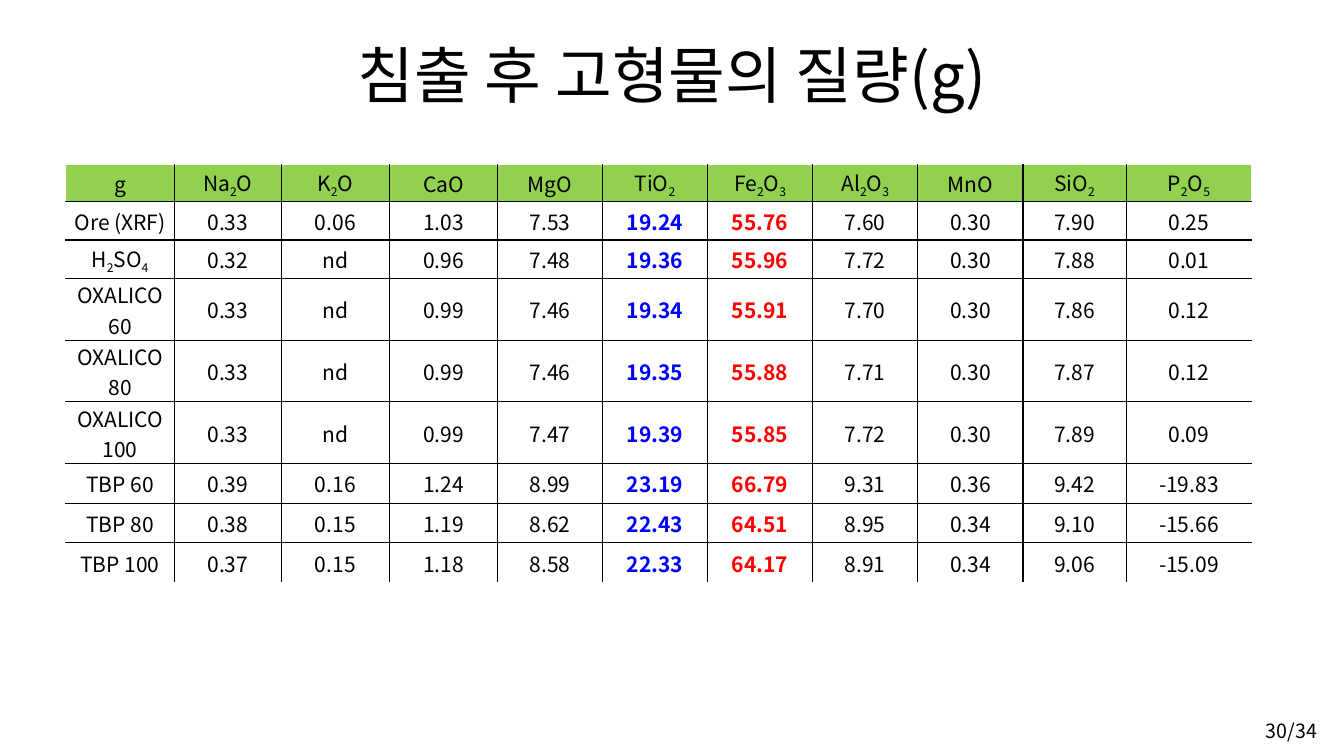
from lxml import etree
from pptx import Presentation
from pptx.dml.color import RGBColor
from pptx.enum import text
from pptx.oxml import ns
from pptx.util import Cm, Pt

# Content: "_" marks the next character as a subscript
TITLE = "침출 후 고형물의 질량(g)"
PAGE = "30/34"
ROWS = [
    ("g", "Na_2O", "K_2O", "CaO", "MgO", "TiO_2", "Fe_2O_3", "Al_2O_3", "MnO", "SiO_2", "P_2O_5"),
    ("Ore (XRF)", "0.33", "0.06", "1.03", "7.53", "19.24", "55.76", "7.60", "0.30", "7.90", "0.25"),
    ("H_2SO_4", "0.32", "nd", "0.96", "7.48", "19.36", "55.96", "7.72", "0.30", "7.88", "0.01"),
    ("OXALICO 60", "0.33", "nd", "0.99", "7.46", "19.34", "55.91", "7.70", "0.30", "7.86", "0.12"),
    ("OXALICO 80", "0.33", "nd", "0.99", "7.46", "19.35", "55.88", "7.71", "0.30", "7.87", "0.12"),
    ("OXALICO 100", "0.33", "nd", "0.99", "7.47", "19.39", "55.85", "7.72", "0.30", "7.89", "0.09"),
    ("TBP 60", "0.39", "0.16", "1.24", "8.99", "23.19", "66.79", "9.31", "0.36", "9.42", "-19.83"),
    ("TBP 80", "0.38", "0.15", "1.19", "8.62", "22.43", "64.51", "8.95", "0.34", "9.10", "-15.66"),
    ("TBP 100", "0.37", "0.15", "1.18", "8.58", "22.33", "64.17", "8.91", "0.34", "9.06", "-15.09"),
]
COL_WIDTHS = [2.73, 2.7, 2.72, 2.73, 2.64, 2.65, 2.65, 2.65, 2.65, 2.6, 3.16]
ROW_HEIGHTS = [0.93] + [0.97] * 5 + [1.0] * 3
COLORS = {"black": "000000", "white": "FFFFFF", "header": "92D050",
          "titanium": "0000FF", "iron": "FF0000"}
HIGHLIGHTS = {5: "titanium", 6: "iron"}
FONT = "Noto Sans CJK KR"


def style(p, size, color="black", bold=False):
    p.alignment = text.PP_ALIGN.CENTER
    f = p.font
    f.name, f.size, f.bold = FONT, Pt(size), bold
    f.color.rgb = RGBColor.from_string(COLORS[color])
    latin = p._p.pPr.find(".//" + ns.qn("a:latin"))
    latin.addnext(latin.makeelement(ns.qn("a:ea"), typeface=FONT))


def add_formula(p, label):
    first, *rest = label.split("_")
    p.add_run().text = first
    for part in rest:
        r = p.add_run()
        r.text = part[0]
        r._r.get_or_add_rPr().set("baseline", "-25000")
        if part[1:]:
            p.add_run().text = part[1:]


def set_borders(cell, outer):
    tcPr = cell._tc.get_or_add_tcPr()
    for i, side in enumerate(("lnL", "lnR", "lnT", "lnB")):
        ln = etree.Element(ns.qn("a:" + side), w=str(Pt(1)))
        fill = etree.SubElement(ln, ns.qn("a:solidFill"))
        color = COLORS["white" if side in outer else "black"]
        etree.SubElement(fill, ns.qn("a:srgbClr"), val=color)
        tcPr.insert(i, ln)


prs = Presentation()
prs.slide_width, prs.slide_height = Cm(33.87), Cm(19.05)
s = prs.slides.add_slide(prs.slide_layouts[5])

# Table of masses
table = s.shapes.add_table(len(ROWS), len(COL_WIDTHS), Cm(1.66), Cm(4.15),
                           Cm(sum(COL_WIDTHS)), Cm(sum(ROW_HEIGHTS))).table
table.first_row = table.horz_banding = False
for col, width in zip(table.columns, COL_WIDTHS):
    col.width = Cm(width)
for row, height in zip(table.rows, ROW_HEIGHTS):
    row.height = Cm(height)

last_row, last_col = len(ROWS) - 1, len(COL_WIDTHS) - 1
for i, labels in enumerate(ROWS):
    for j, label in enumerate(labels):
        cell = table.cell(i, j)
        cell.vertical_anchor = text.MSO_ANCHOR.MIDDLE
        cell.margin_left = cell.margin_right = cell.margin_top = Cm(0.02)
        cell.margin_bottom = 0
        if i == 0:
            cell.fill.solid()
            cell.fill.fore_color.rgb = RGBColor.from_string(COLORS["header"])
        else:
            cell.fill.background()
        edges = {"lnL": j == 0, "lnR": j == last_col, "lnT": i == 0, "lnB": i == last_row}
        set_borders(cell, [side for side, is_outer in edges.items() if is_outer])
        p = cell.text_frame.paragraphs[0]
        add_formula(p, label)
        marked = i > 0 and j in HIGHLIGHTS
        style(p, 15, HIGHLIGHTS[j] if marked else "black", marked)

# Title
title = s.shapes.title
title.left, title.top, title.width, title.height = Cm(2.33), Cm(0.15), Cm(29.21), Cm(3.68)

# Page number
page = s.shapes.add_textbox(Cm(31.22), Cm(17.8), Cm(2.65), Cm(1.3))

for sp, words, size in ((title, TITLE, 44), (page, PAGE, 14)):
    tf = sp.text_frame
    tf.word_wrap = True
    tf.vertical_anchor = text.MSO_ANCHOR.MIDDLE
    p = tf.paragraphs[0]
    p.text = words
    p.line_spacing = 0.9
    style(p, size)

prs.save("out.pptx")
